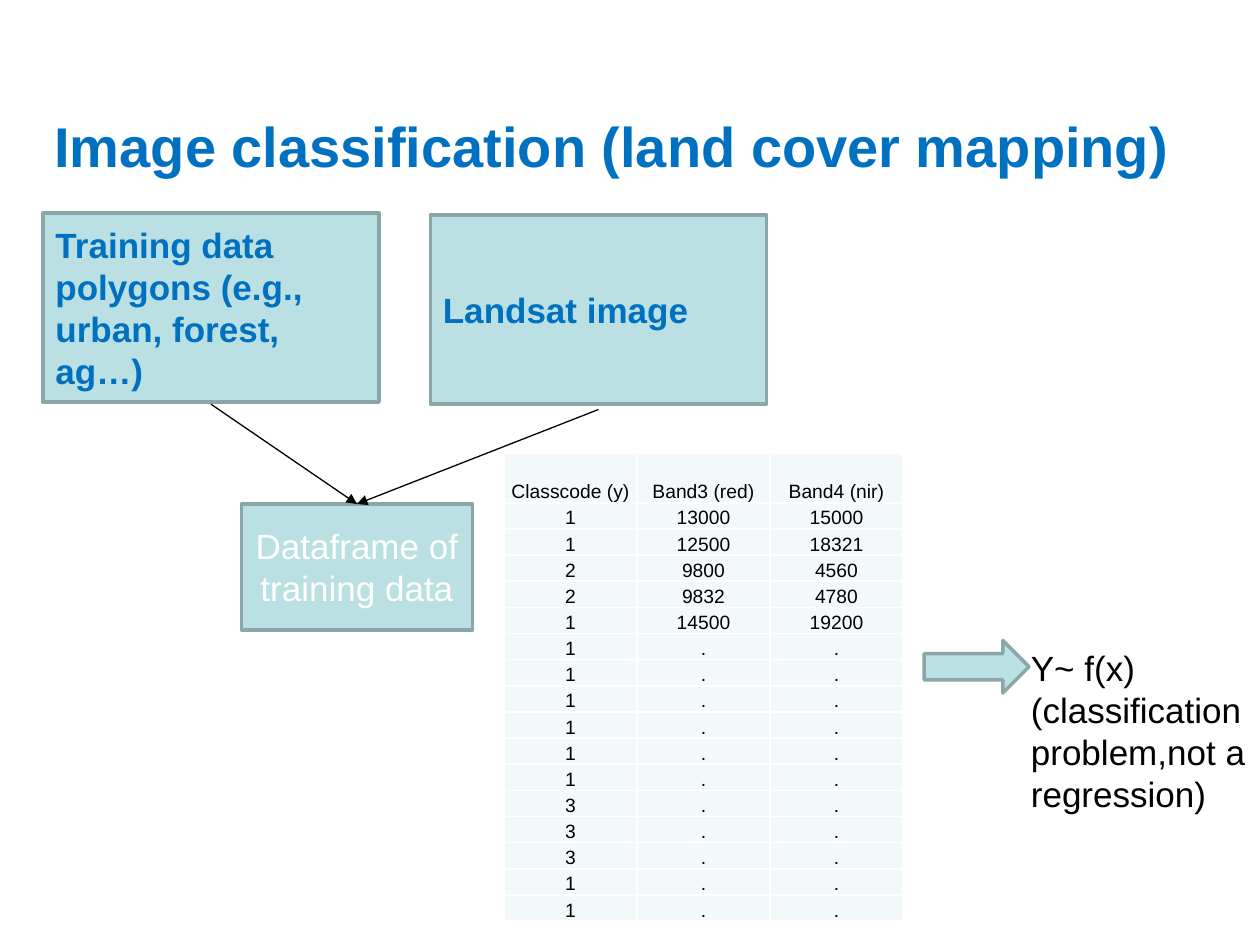
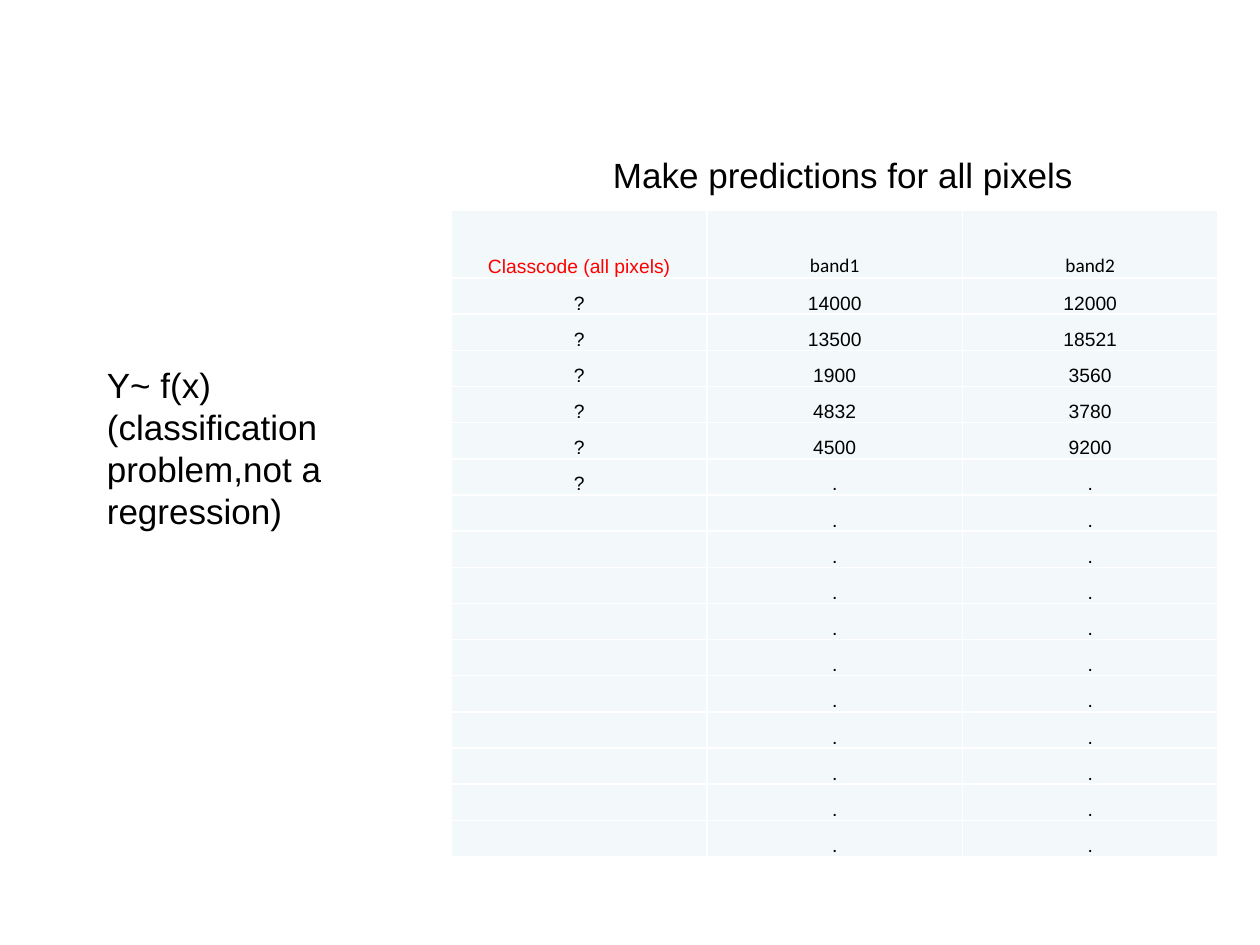
from dataclasses import dataclass

from lxml.etree import SubElement
from pptx import Presentation
from pptx.dml.color import RGBColor
from pptx.enum.shapes import MSO_CONNECTOR, MSO_SHAPE
from pptx.enum.text import MSO_ANCHOR, PP_ALIGN
from pptx.oxml.ns import qn
from pptx.util import Inches, Pt


@dataclass(frozen=True)
class Theme:
    blue: str = "0070C0"
    fill: str = "BBE0E3"
    edge: str = "8AA6A8"
    cell: str = "F3F9FA"
    black: str = "000000"
    white: str = "FFFFFF"
    red: str = "FF0000"
    font: str = "Arial"
    alt_font: str = "Calibri"
    title: int = 32
    body: int = 20
    table: int = 11
    edge_width: float = 2
    arrow_width: float = 0.75
    border_width: float = 1


THEME = Theme()
WIDTH, HEIGHT = 10, 7.5
UNIT = WIDTH / 120  # square grid: 120 columns by 90 rows
HEADER_ROWS = 1.88  # header height in body rows


@dataclass(frozen=True)
class Box:
    """A rectangle in grid columns and rows."""
    left: float
    top: float
    width: float
    height: float

    def inner(self, left, top, width, height):
        return Box(self.left + left, self.top + top, width, height)

    @property
    def center(self):
        return self.left + self.width / 2

    @property
    def bottom(self):
        return self.top + self.height

    @property
    def emu(self):
        return [grid(v) for v in (self.left, self.top, self.width, self.height)]


def grid(units):
    return Inches(units * UNIT)


def rgb(color):
    return RGBColor.from_string(color)


# --- Basic elements ---

def add_run(p, text, size=THEME.body, color=THEME.black, bold=False,
            font=THEME.font):
    r = p.add_run()
    r.text = text
    r.font.size, r.font.bold, r.font.name = Pt(size), bold, font
    r.font.color.rgb = rgb(color)


def add_text(s, box, lines, wrap=True, **style):
    tf = s.shapes.add_textbox(*box.emu).text_frame
    tf.word_wrap = wrap
    for i, line in enumerate(lines):
        p = tf.add_paragraph() if i else tf.paragraphs[0]
        add_run(p, line, **style)


def add_panel(s, box, shape=MSO_SHAPE.RECTANGLE, text="",
              align=PP_ALIGN.LEFT, **style):
    sp = s.shapes.add_shape(shape, *box.emu)
    sp.shadow.inherit = False
    sp.fill.solid()
    sp.fill.fore_color.rgb = rgb(THEME.fill)
    sp.line.color.rgb = rgb(THEME.edge)
    sp.line.width = Pt(THEME.edge_width)
    if text:
        tf = sp.text_frame
        tf.word_wrap = True
        tf.vertical_anchor = MSO_ANCHOR.MIDDLE
        tf.paragraphs[0].alignment = align
        add_run(tf.paragraphs[0], text, **style)


def add_arrow(s, source, target, gap):
    ends = (source.center, source.bottom + gap, target.center, target.top)
    line = s.shapes.add_connector(MSO_CONNECTOR.STRAIGHT, *map(grid, ends))
    line.line.color.rgb = rgb(THEME.black)
    line.line.width = Pt(THEME.arrow_width)
    SubElement(line.line._get_or_add_ln(), qn("a:tailEnd"), type="triangle")
    SubElement(line._element.spPr, qn("a:effectLst"))


# --- Pixel table ---

def style_cell(cell):
    tc_pr = cell._tc.get_or_add_tcPr()
    for side in ("lnL", "lnR", "lnT", "lnB"):
        ln = SubElement(tc_pr, qn(f"a:{side}"), w=str(Pt(THEME.border_width)))
        SubElement(SubElement(ln, qn("a:solidFill")), qn("a:srgbClr"),
                   val=THEME.white)
    cell.fill.solid()
    cell.fill.fore_color.rgb = rgb(THEME.cell)
    cell.margin_left = cell.margin_right = cell.margin_top = Inches(0.01)
    cell.margin_bottom = 0
    cell.vertical_anchor = MSO_ANCHOR.BOTTOM


def add_pixel_table(s, box, rows, header_styles):
    table = s.shapes.add_table(len(rows), len(rows[0]), *box.emu).table
    table.first_row = table.horz_banding = False
    row_height = box.height / (len(rows) - 1 + HEADER_ROWS)
    for i, values in enumerate(rows):
        table.rows[i].height = grid(row_height * (1 if i else HEADER_ROWS))
        for j, value in enumerate(values):
            cell = table.cell(i, j)
            style_cell(cell)
            p = cell.text_frame.paragraphs[0]
            p.alignment = PP_ALIGN.CENTER
            if value:
                style = {} if i else header_styles[j]
                add_run(p, value, size=THEME.table, **style)
            else:  # keeps blank rows from growing
                SubElement(p._p, qn("a:endParaRPr"), sz=str(THEME.table * 100))


# --- Regions ---

def add_title(s, box, text):
    add_text(s, box, [text], size=THEME.title, color=THEME.blue, bold=True)


def add_model(s, box):
    add_text(s, box, ["Y~ f(x)", "(classification problem,not a regression)"])


def add_data_flow(s, box):
    polygons = box.inner(0, 0, 32, 18)
    image = box.inner(36.9, 0.2, 32, 18)
    dataframe = box.inner(18.9, 27.7, 22, 12)
    heading = dict(color=THEME.blue, bold=True)
    add_panel(s, polygons, **heading,
              text="Training data polygons (e.g., urban, forest, ag…)")
    add_panel(s, image, text="Landsat image", **heading)
    add_panel(s, dataframe, text="Dataframe of training data",
              align=PP_ALIGN.CENTER, color=THEME.white)
    for source, gap in ((polygons, 0.2), (image, 0.5)):
        add_arrow(s, source, dataframe, gap)


# --- Slides ---

def training_slide(s, box):
    samples = [("1", "13000", "15000"), ("1", "12500", "18321"),
               ("2", "9800", "4560"), ("2", "9832", "4780"),
               ("1", "14500", "19200")]
    rows = [("Classcode (y)", "Band3 (red)", "Band4 (nir)"), *samples,
            *((code, ".", ".") for code in "11111133311")]
    add_title(s, box.inner(4, 10, 111, 7),
              "Image classification (land cover mapping)")
    add_data_flow(s, box.inner(4.1, 20.3, 69, 40))
    add_pixel_table(s, box.inner(48, 43.2, 38, 44.6), rows, [{}] * 3)
    add_panel(s, box.inner(88, 61, 10, 5), MSO_SHAPE.RIGHT_ARROW)
    add_model(s, box.inner(97, 61, 23, 17.4))


def prediction_slide(s, box):
    pixels = [("14000", "12000"), ("13500", "18521"), ("1900", "3560"),
              ("4832", "3780"), ("4500", "9200"), (".", ".")]
    rows = [("Classcode (all pixels)", "band1", "band2"),
            *(("?", *bands) for bands in pixels), *[("", ".", ".")] * 10]
    band = dict(font=THEME.alt_font)
    add_model(s, box.inner(9, 34, 31, 21.4))
    add_pixel_table(s, box.inner(43, 20, 73, 61.6), rows,
                    [dict(color=THEME.red), band, band])
    add_text(s, box.inner(57.2, 14, 46.6, 5.3),
             ["Make predictions for all pixels"], wrap=False)


def main():
    prs = Presentation()
    prs.slide_width, prs.slide_height = Inches(WIDTH), Inches(HEIGHT)
    page = Box(0, 0, 120, 90)
    for build in (training_slide, prediction_slide):
        build(prs.slides.add_slide(prs.slide_layouts[6]), page)
    prs.save("out.pptx")


if __name__ == "__main__":
    main()
